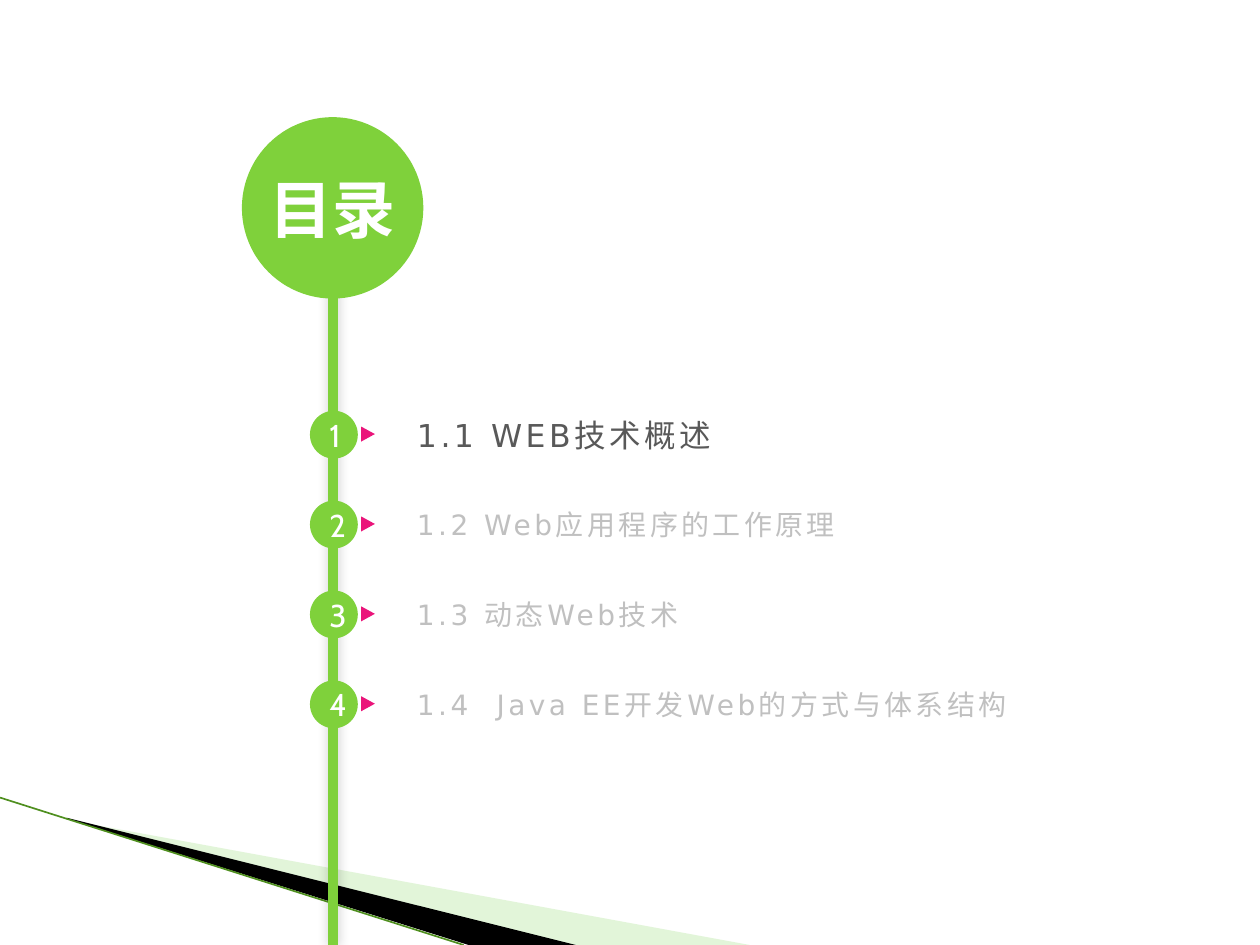
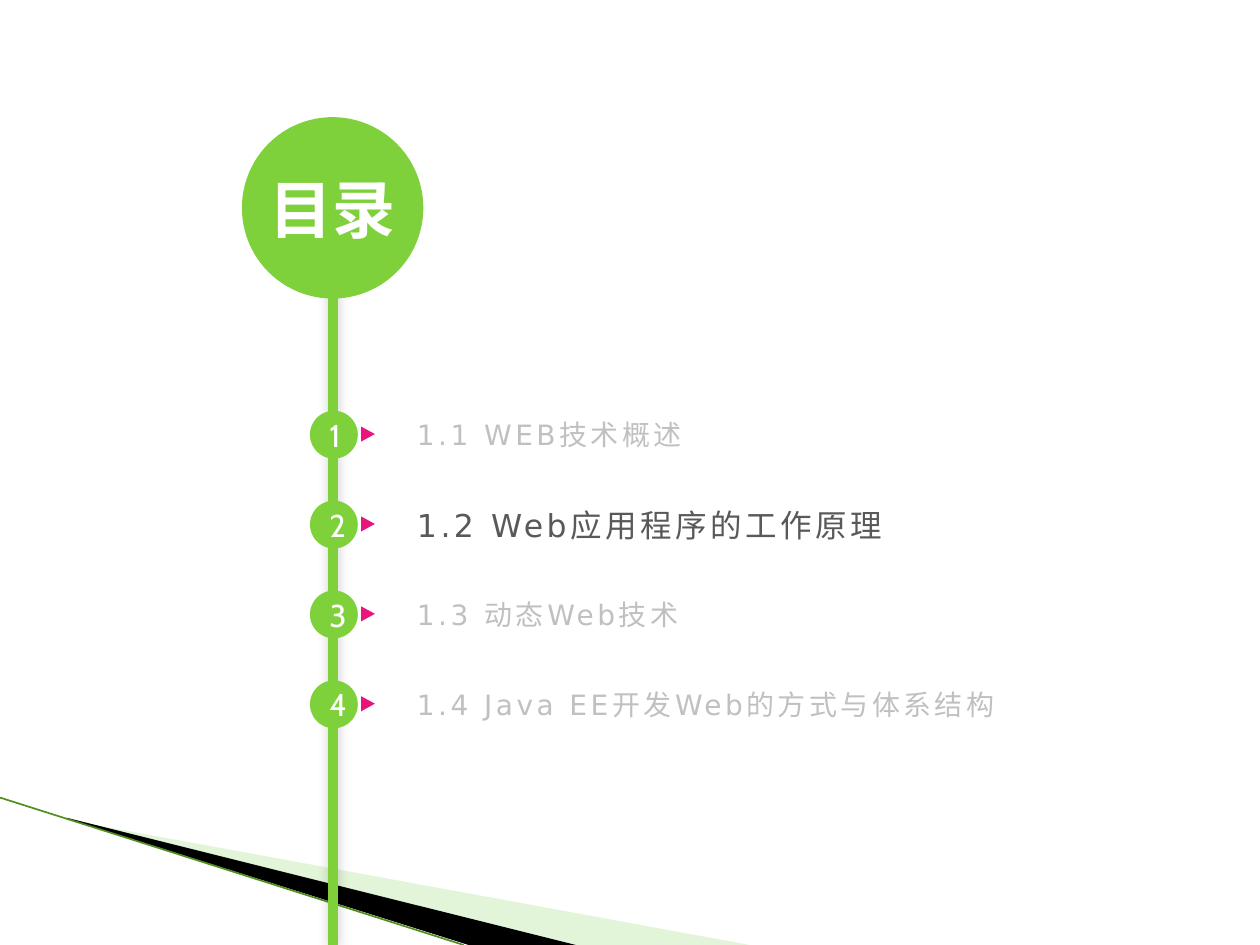
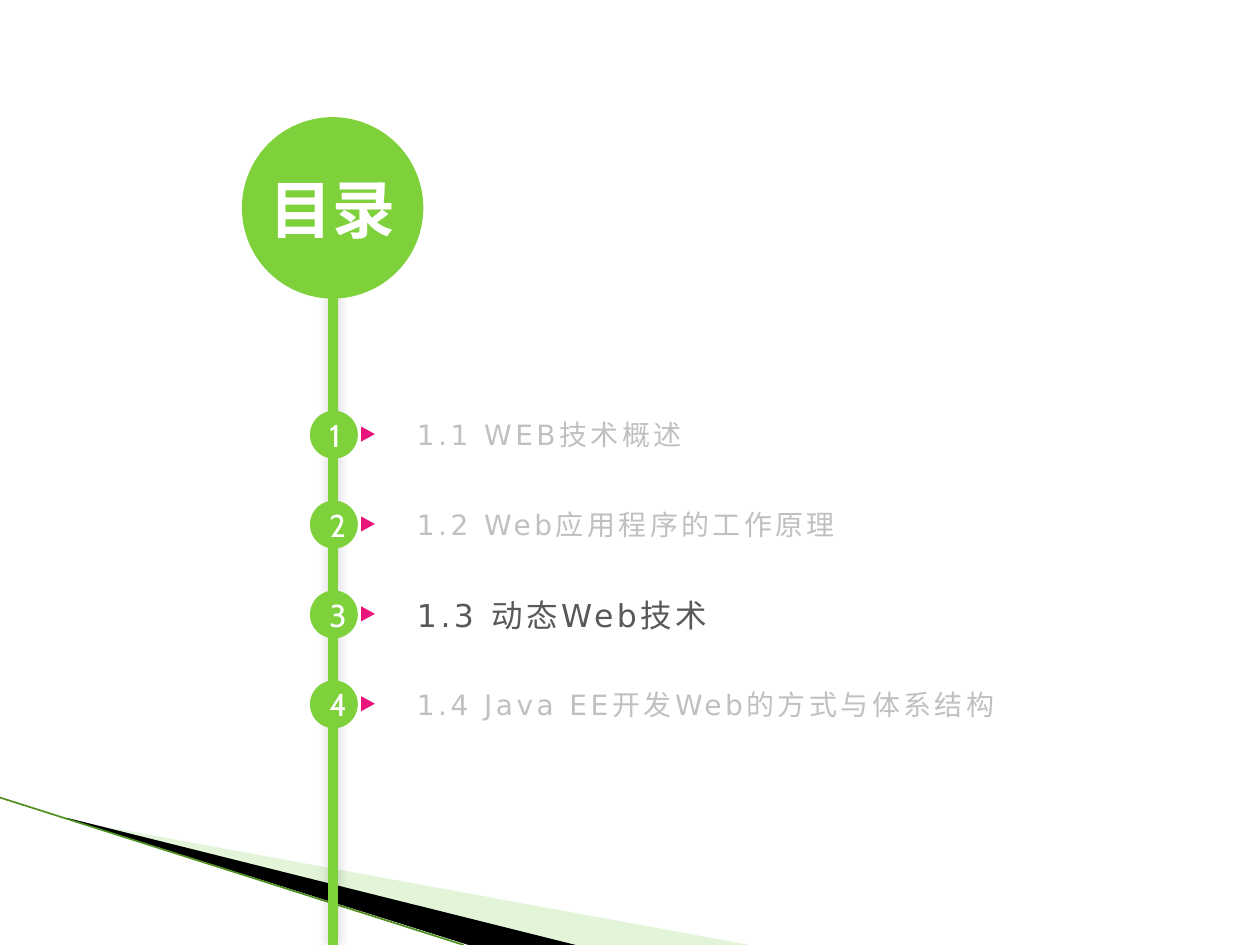
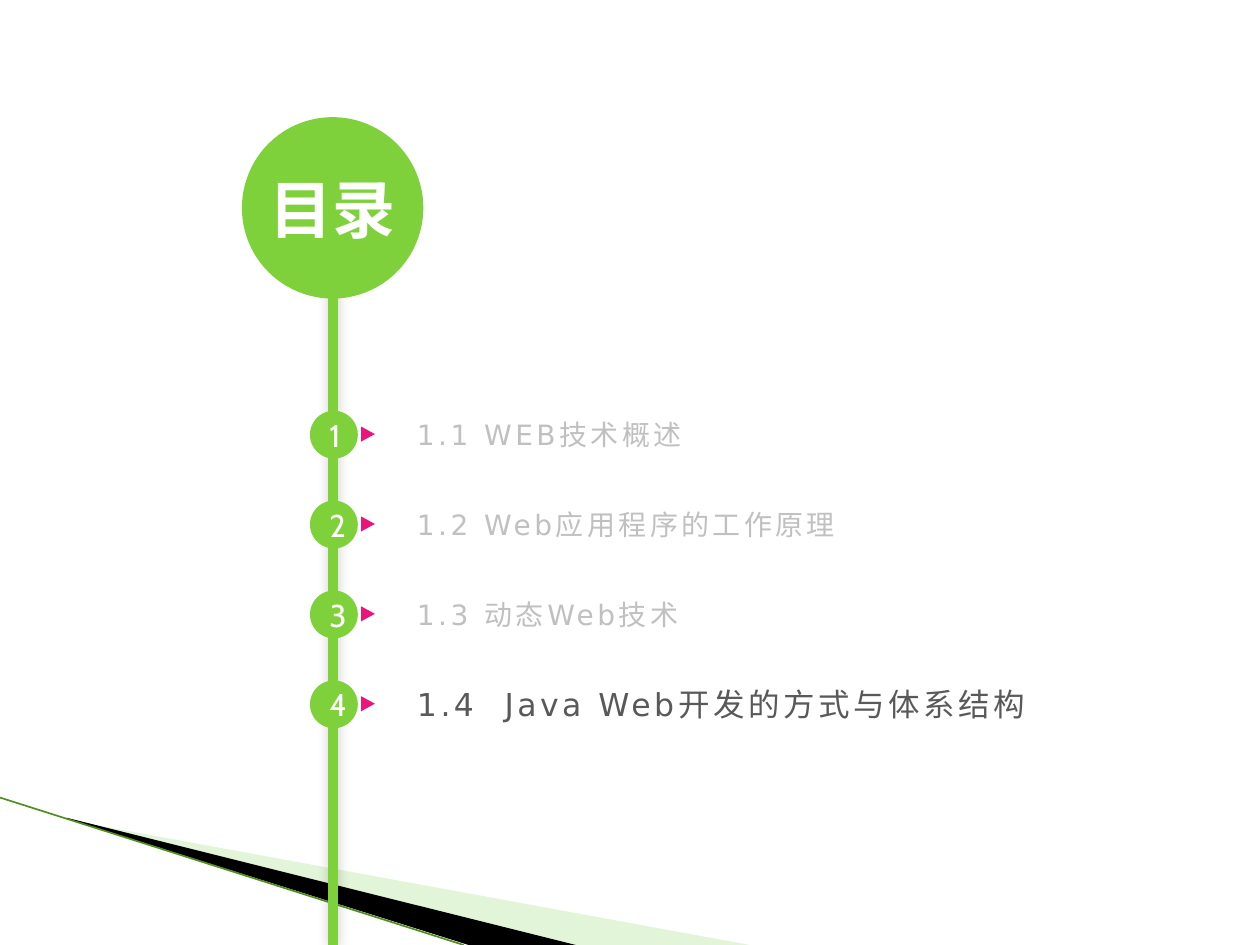
from lxml.etree import SubElement
from pptx import Presentation
from pptx.dml.color import RGBColor
from pptx.enum.shapes import MSO_CONNECTOR, MSO_SHAPE
from pptx.enum.text import MSO_ANCHOR, PP_ALIGN
from pptx.oxml.ns import qn
from pptx.util import Inches, Pt

GREEN = RGBColor(0x7F, 0xD1, 0x3B)
PALE = RGBColor(0xB8, 0xE7, 0xA1)
DARK = RGBColor(0x4F, 0x8F, 0x1F)
PINK = RGBColor(0xEA, 0x15, 0x7A)
BLACK = RGBColor(0, 0, 0)
WHITE = RGBColor(0xFF, 0xFF, 0xFF)
GRAY = RGBColor(0x59, 0x59, 0x59)
FAINT = RGBColor(0xC0, 0xC0, 0xC0)

HAN = "Noto Sans CJK SC"
HEAD = {"name": HAN, "size": Pt(36), "bold": True}
DIGIT = {"name": "Cabin", "size": Pt(18)}
ITEM = {"name": "DejaVu Sans", "size": Pt(16)}
FOCUS = {"name": "DejaVu Sans", "size": Pt(18)}
FLUSH = {"margin_left": 0, "margin_right": 0, "margin_top": 0, "margin_bottom": 0}

TOPICS = [
    "1.1 WEB技术概述",
    "1.2 Web应用程序的工作原理",
    "1.3 动态Web技术",
    "1.4 Java EE开发Web的方式与体系结构",
]
VARIANTS = {
    (0, 3): "1.4  Java EE开发Web的方式与体系结构",
    (3, 3): "1.4  Java Web开发的方式与体系结构",
}
TOP = 3.26
PITCH = 2.14 / 3


def apply(target, values):
    for name, value in values.items():
        setattr(target, name, value)


def paint(shape, color):
    shape.shadow.inherit = False
    shape.fill.solid()
    shape.fill.fore_color.rgb = color
    shape.line.fill.background()


def write(shape, text, font, color, align, frame, gap=None):
    box = shape.text_frame
    apply(box, {"word_wrap": True, "vertical_anchor": MSO_ANCHOR.MIDDLE, **frame})
    line = box.paragraphs[0]
    line.alignment = align
    run = line.add_run()
    run.text = text
    apply(run.font, font)
    run.font.color.rgb = color
    props = run.font._element
    SubElement(props, qn("a:ea"), typeface=HAN)
    if gap:
        props.set("spc", str(gap * 100))


def add_form(slide, kind, box, color):
    shape = slide.shapes.add_shape(kind, *map(Inches, box))
    paint(shape, color)
    return shape


def add_patch(slide, points, color):
    spots = [(Inches(x), Inches(y)) for x, y in points]
    pen = slide.shapes.build_freeform(*spots[0])
    pen.add_line_segments(spots[1:], close=True)
    shape = pen.convert_to_shape()
    paint(shape, color)
    return shape


def set_alpha(color, percent):
    SubElement(color, qn("a:alpha"), val=str(percent * 1000))


def add_swoosh(slide):
    pale = add_patch(slide, [(0.55, 6.51), (5.95, 7.5), (4.56, 7.5), (0.55, 6.5)], PALE)
    set_alpha(pale._element.spPr.find(".//" + qn("a:srgbClr")), 40)
    add_patch(slide, [(0.53, 6.49), (4.57, 7.5), (3.72, 7.5), (0.54, 6.5)], BLACK)
    edge = slide.shapes.add_connector(
        MSO_CONNECTOR.STRAIGHT, *map(Inches, (0, 6.33, 3.68, 7.5))
    )
    edge.line.color.rgb = DARK
    edge.line.width = Pt(0.95)
    SubElement(edge._element.spPr, qn("a:effectLst"))


def add_stem(slide):
    stem = add_patch(slide, [(2.6, 1.04), (2.68, 1.04), (2.68, 7.5), (2.6, 7.5)], GREEN)
    effects = stem._element.spPr.find(qn("a:effectLst"))
    shade = SubElement(
        effects, qn("a:outerShdw"), blurRad=str(Pt(6)), dist="0", dir=str(225 * 60000)
    )
    set_alpha(SubElement(shade, qn("a:srgbClr"), val=str(BLACK)), 20)


def add_head(slide):
    disc = add_form(slide, MSO_SHAPE.OVAL, (1.92, 0.93, 1.44, 1.44), GREEN)
    write(disc, "目录", HEAD, WHITE, PP_ALIGN.CENTER, FLUSH)


def add_topic(slide, row, text, active):
    top = TOP + row * PITCH
    disc = add_form(slide, MSO_SHAPE.OVAL, (2.46, top, 0.38, 0.38), GREEN)
    write(disc, str(row + 1), DIGIT, WHITE, PP_ALIGN.CENTER, {})
    label = slide.shapes.add_textbox(*map(Inches, (3.31, top - 0.05, 5.84, 0.48)))
    font, color = (FOCUS, GRAY) if active else (ITEM, FAINT)
    write(label, text, font, color, PP_ALIGN.LEFT, FLUSH, gap=2)


def add_arrow(slide, row):
    top = TOP + row * PITCH + 0.13
    arrow = add_form(slide, MSO_SHAPE.ISOSCELES_TRIANGLE, (2.86, top, 0.12, 0.11), PINK)
    arrow.rotation = 90


def add_agenda(deck, current):
    slide = deck.slides.add_slide(deck.slide_layouts[6])
    add_swoosh(slide)
    add_stem(slide)
    add_head(slide)
    for row, topic in enumerate(TOPICS):
        text = VARIANTS.get((current, row), topic)
        add_topic(slide, row, text, row == current)
    for row in range(len(TOPICS)):
        add_arrow(slide, row)


def main():
    deck = Presentation()
    apply(deck, {"slide_width": Inches(10), "slide_height": Inches(7.5)})
    for current in range(len(TOPICS)):
        add_agenda(deck, current)
    deck.save("out.pptx")


if __name__ == "__main__":
    main()
